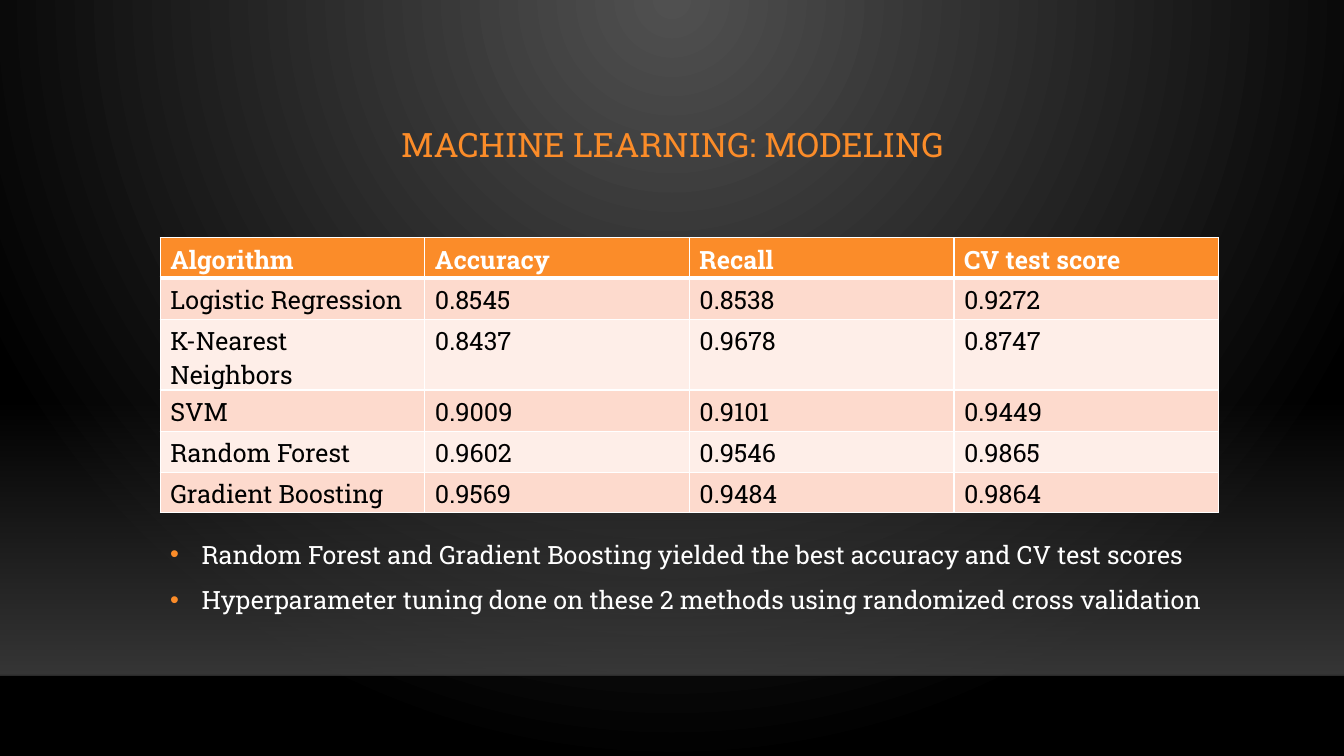
from dataclasses import dataclass

from lxml.etree import SubElement
from pptx import Presentation
from pptx.dml.color import RGBColor as RGB
from pptx.enum.shapes import MSO_CONNECTOR as CONN, MSO_SHAPE as SHAPE
from pptx.enum.text import MSO_ANCHOR as ANCHOR, MSO_AUTO_SIZE as AUTOSIZE, PP_ALIGN as ALIGN
from pptx.oxml import parse_xml
from pptx.oxml.ns import nsdecls, qn
from pptx.util import Cm, Pt

FONT = "Roboto Slab"
COLORS = {
    "accent": "FB8C29", "white": "FFFFFF", "black": "000000",
    "glow": "505050", "floor": "454545", "edge": "000001",
    "band_dark": "FDDACD", "band_light": "FEEEE8",
}
WIDTH, HEIGHT = Cm(33.87), Cm(19.05)
LEFT, CONTENT_W = Cm(4.04), Cm(26.67)
FLOOR_TOP, FLOOR_H = Cm(10.06), Cm(6.96)


@dataclass
class Stop:
    pos: int
    color: str
    opacity: int = 100


@dataclass
class Model:
    name: str
    accuracy: str
    recall: str
    cv_score: str

    def cells(self) -> list[str]:
        return [self.name, self.accuracy, self.recall, self.cv_score]


HEADER = ["Algorithm", "Accuracy", "Recall", "CV test score"]
MODELS = [
    Model("Logistic Regression", "0.8545", "0.8538", "0.9272"),
    Model("K-Nearest Neighbors", "0.8437", "0.9678", "0.8747"),
    Model("SVM", "0.9009", "0.9101", "0.9449"),
    Model("Random Forest", "0.9602", "0.9546", "0.9865"),
    Model("Gradient Boosting", "0.9569", "0.9484", "0.9864"),
]
ROW_HEIGHTS = [Cm(0.46)] + [Cm(1.04)] * 4 + [Cm(0.89)]
FINDINGS = [
    "Random Forest and Gradient Boosting yielded the best accuracy and CV test scores",
    "Hyperparameter tuning done on these 2 methods using randomized cross validation",
]


def rgb(name: str) -> RGB:
    return RGB.from_string(COLORS[name])


def set_gradient(parent, stops: list[Stop], direction: str) -> None:
    """Replace the gradient inside parent; direction is its a:lin or a:path."""
    items = "".join(
        f'<a:gs pos="{s.pos * 1000}"><a:srgbClr val="{COLORS[s.color]}">'
        f'<a:alpha val="{s.opacity * 1000}"/></a:srgbClr></a:gs>' for s in stops)
    old = parent.find(".//" + qn("a:gradFill"))
    old.getparent().replace(old, parse_xml(
        f'<a:gradFill {nsdecls("a")} rotWithShape="1"><a:gsLst>{items}</a:gsLst>'
        f'{direction}</a:gradFill>'))


def style(p, size: int, color: str, bold: bool = False) -> None:
    p.font.name, p.font.size, p.font.bold = FONT, Pt(size), bold
    p.font.color.rgb = rgb(color)


def add_bullet(p) -> None:
    pPr = p._p.get_or_add_pPr()
    pPr.set("marL", str(Cm(0.79)))
    pPr.set("indent", str(-Cm(0.79)))
    # Bullet properties come before the default run properties
    bullet = parse_xml(
        f'<a:pPr {nsdecls("a")}><a:buClr><a:srgbClr val="{COLORS["accent"]}"/></a:buClr>'
        '<a:buFont typeface="Arial"/><a:buChar char="&#8226;"/></a:pPr>')
    for el in list(bullet):
        pPr.find(qn("a:defRPr")).addprevious(el)


def add_borders(cell, header: bool, below_header: bool) -> None:
    tcPr = cell._tc.get_or_add_tcPr()
    widths = {"lnL": 1, "lnR": 1, "lnT": 3 if below_header else 1, "lnB": 3 if header else 1}
    for i, (tag, width) in enumerate(widths.items()):
        tcPr.insert(i, parse_xml(
            f'<a:{tag} {nsdecls("a")} w="{Pt(width)}"><a:solidFill>'
            f'<a:srgbClr val="{COLORS["white"]}"/></a:solidFill></a:{tag}>'))


def add_text(slide, top: Cm, width: Cm, height: Cm):
    tf = slide.shapes.add_textbox(LEFT, top, width, height).text_frame
    tf.word_wrap = True
    return tf


prs = Presentation()
prs.slide_width, prs.slide_height = WIDTH, HEIGHT
slide = prs.slides.add_slide(prs.slide_layouts[6])

# Background glow from the top centre
slide.background.fill.gradient()
set_gradient(slide.element, [Stop(0, "glow"), Stop(100, "black")],
             '<a:path path="circle"><a:fillToRect l="43000" t="0" r="43000" b="100000"/></a:path>')

# Floor band and its edge
floor = slide.shapes.add_shape(SHAPE.RECTANGLE, 0, FLOOR_TOP, WIDTH, FLOOR_H)
floor.shadow.inherit = False
floor.line.fill.background()
floor.fill.gradient()
set_gradient(floor.element, [Stop(0, "floor", 0), Stop(100, "floor", 80)],
             '<a:lin ang="5400000" scaled="0"/>')

edge_y = FLOOR_TOP + FLOOR_H
edge = slide.shapes.add_connector(CONN.STRAIGHT, 0, edge_y, WIDTH, edge_y)
edge.line.width = Pt(1)
edge.line.color.rgb = rgb("edge")
edge_color = edge.element.find(".//" + qn("a:srgbClr"))
SubElement(edge_color, qn("a:alpha")).set("val", "20000")
SubElement(edge.element.spPr, qn("a:effectLst"))

# Title
tf = add_text(slide, Cm(2.24), Cm(25.81), Cm(2.92))
tf.vertical_anchor = ANCHOR.MIDDLE
p = tf.paragraphs[0]
p.text = "MACHINE LEARNING: MODELING"
p.alignment, p.line_spacing = ALIGN.CENTER, 0.9
style(p, 24, "accent")

# Model scores
rows = [HEADER] + [m.cells() for m in MODELS]
table = slide.shapes.add_table(len(rows), len(HEADER), LEFT, Cm(5.99),
                               CONTENT_W, sum(ROW_HEIGHTS)).table
for r, values in enumerate(rows):
    header = r == 0
    table.rows[r].height = ROW_HEIGHTS[r]
    band = "accent" if header else "band_dark" if r % 2 else "band_light"
    for c, value in enumerate(values):
        cell = table.cell(r, c)
        cell.fill.solid()
        cell.fill.fore_color.rgb = rgb(band)
        add_borders(cell, header, r == 1)
        p = cell.text_frame.paragraphs[0]
        p.text = value
        style(p, 18, "white" if header else "black", header)

# Findings
tf = add_text(slide, Cm(13.08), CONTENT_W, Cm(2.44))
tf.auto_size = AUTOSIZE.SHAPE_TO_FIT_TEXT
for i, finding in enumerate(FINDINGS):
    p = tf.paragraphs[0] if i == 0 else tf.add_paragraph()
    p.text = finding
    p.line_spacing = 1.5
    style(p, 18, "white")
    add_bullet(p)

prs.save("out.pptx")
